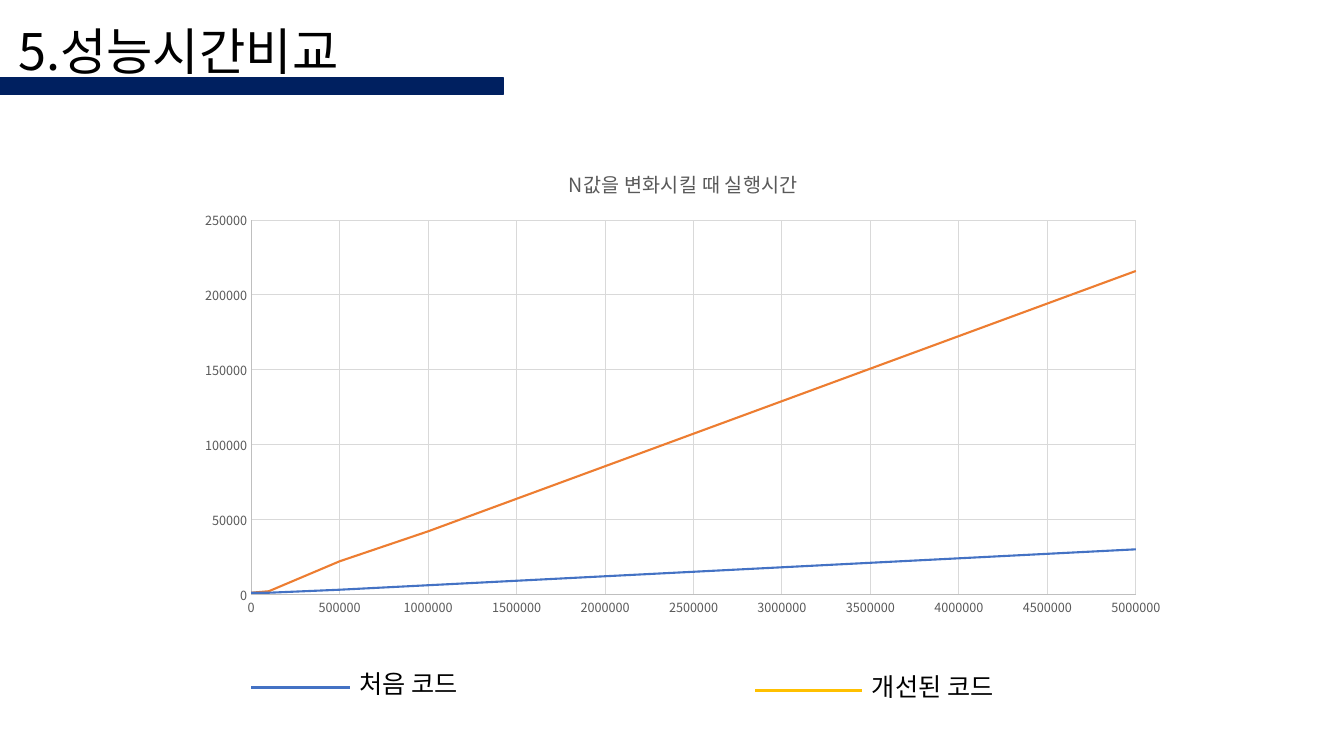
from dataclasses import dataclass

from lxml import etree
from pptx import Presentation
from pptx.chart.data import XyChartData
from pptx.dml.color import RGBColor
from pptx.enum.chart import XL_CHART_TYPE, XL_TICK_MARK
from pptx.enum.shapes import MSO_CONNECTOR, MSO_SHAPE
from pptx.enum.text import MSO_ANCHOR, MSO_AUTO_SIZE, PP_ALIGN
from pptx.oxml import parse_xml
from pptx.oxml.ns import nsdecls, qn
from pptx.util import Inches, Pt

SCATTER = XL_CHART_TYPE.XY_SCATTER_LINES_NO_MARKERS
NO_TICK = XL_TICK_MARK.NONE
STRAIGHT = MSO_CONNECTOR.STRAIGHT
RECTANGLE = MSO_SHAPE.RECTANGLE
TOP = MSO_ANCHOR.TOP
LEFT = PP_ALIGN.LEFT
GROW = MSO_AUTO_SIZE.SHAPE_TO_FIT_TEXT

FONT = "Noto Sans CJK KR"
NAVY, BLUE, ORANGE, YELLOW = "002060", "4472C4", "ED7D31", "FFC000"
BLACK, GRAY, AXIS_GRAY, GRID_GRAY = "000000", "595959", "BFBFBF", "D9D9D9"

N_VALUES = [0] * 6 + [100000, 500000, 1000000, 5000000]


@dataclass
class Series:
    name: str
    color: str
    times: list[int]


@dataclass
class LegendKey:
    text: str
    color: str
    left: float
    right: float
    y: float


SERIES = [
    Series("Series 1", BLUE, [1000] * 7 + [3000, 6000, 30000]),
    Series("Series 2", ORANGE, [1000] * 6 + [2000, 22000, 42000, 216000]),
]
LEGEND = [
    LegendKey("처음 코드", BLUE, 2.49, 3.47, 6.82),
    LegendKey("개선된 코드", YELLOW, 7.49, 8.55, 6.85),
]


def rgb(color: str) -> RGBColor:
    return RGBColor.from_string(color)


def set_font(font, size: float, color: str) -> None:
    for name, value in {"name": FONT, "size": Pt(size), "bold": False}.items():
        setattr(font, name, value)
    font.color.rgb = rgb(color)


def set_line(line, color: str, width: float) -> None:
    line.color.rgb = rgb(color)
    line.width = Pt(width)


def set_text(sp, text: str, size: float, wrap: bool = True) -> None:
    tf = sp.text_frame
    layout = {"word_wrap": wrap, "auto_size": GROW, "vertical_anchor": TOP}
    for name, value in layout.items():
        setattr(tf, name, value)
    p = tf.paragraphs[0]
    p.alignment = LEFT
    r = p.add_run()
    r.text = text
    set_font(r.font, size, BLACK)


def use_font_for_korean(root) -> None:
    """Repeat each Latin typeface as the East Asian one."""
    for latin in list(root.iter(qn("a:latin"))):
        ea = etree.Element(qn("a:ea"), typeface=FONT)
        latin.addnext(ea)


def add_heading(slide) -> None:
    title = slide.shapes.title
    box = {"left": 0.08, "top": 0.15, "width": 4.5, "height": 0.71}
    for name, value in box.items():
        setattr(title, name, Inches(value))
    set_text(title, "5.성능시간비교", 36)

    bar = slide.shapes.add_shape(
        RECTANGLE, Inches(0), Inches(0.77), Inches(4.99), Inches(0.17))
    bar.shadow.inherit = False
    bar.fill.solid()
    bar.fill.fore_color.rgb = rgb(NAVY)
    set_line(bar.line, NAVY, 1)
    title._element.addprevious(bar._element)


def add_legend_key(slide, key: LegendKey) -> None:
    y = Inches(key.y)
    line = slide.shapes.add_connector(
        STRAIGHT, Inches(key.left), y, Inches(key.right), y)
    set_line(line.line, key.color, 2.25)
    etree.SubElement(line._element.spPr, qn("a:effectLst"))
    label = slide.shapes.add_textbox(
        Inches(key.right), Inches(key.y - 0.24), Inches(1.56), Inches(0.4))
    set_text(label, key.text, 18)


def format_axis(axis, maximum: int, step: int) -> None:
    scale = {
        "minimum_scale": 0, "maximum_scale": maximum, "major_unit": step,
        "major_tick_mark": NO_TICK, "minor_tick_mark": NO_TICK,
        "has_major_gridlines": True, "has_title": False,
    }
    for name, value in scale.items():
        setattr(axis, name, value)
    set_font(axis.tick_labels.font, 9, GRAY)
    axis.tick_labels.number_format = "General"
    axis.tick_labels.number_format_is_linked = False
    set_line(axis.format.line, AXIS_GRAY, 0.75)
    set_line(axis.major_gridlines.format.line, GRID_GRAY, 0.75)


def place_plot(chart, x: float, y: float, w: float, h: float) -> None:
    """Fix the inner plot area, in fractions of the chart."""
    plot_area = chart._chartSpace.chart.plotArea
    for old in plot_area.findall(qn("c:layout")):
        plot_area.remove(old)
    parts = {"x": x, "y": y, "w": w, "h": h}
    modes = "".join(f'<c:{n}Mode val="edge"/>' for n in "xy")
    values = "".join(f'<c:{n} val="{v}"/>' for n, v in parts.items())
    plot_area.insert(0, parse_xml(
        f'<c:layout {nsdecls("c")}><c:manualLayout>'
        f'<c:layoutTarget val="inner"/>{modes}{values}'
        '</c:manualLayout></c:layout>'))


def add_time_chart(slide) -> None:
    data = XyChartData()
    for series in SERIES:
        points = data.add_series(series.name)
        for n, time in zip(N_VALUES, series.times):
            points.add_data_point(n, time)
    chart = slide.shapes.add_chart(
        SCATTER, Inches(1.85), Inches(1.47), Inches(9.86), Inches(4.76),
        data).chart
    chart.has_legend = False
    set_font(chart.font, 10, BLACK)

    chart.has_title = True
    p = chart.chart_title.text_frame.paragraphs[0]
    r = p.add_run()
    r.text = "N값을 변화시킬 때 실행시간"
    set_font(r.font, 14, GRAY)
    chart.chart_title.include_in_layout = False

    format_axis(chart.category_axis, 5000000, 500000)
    format_axis(chart.value_axis, 250000, 50000)
    place_plot(chart, 0.065, 0.15, 0.89, 0.78)
    chart.plots[0].vary_by_categories = False
    for plotted, series in zip(chart.plots[0].series, SERIES):
        plotted.smooth = False
        set_line(plotted.format.line, series.color, 1.5)
    use_font_for_korean(chart._chartSpace)


def main() -> None:
    prs = Presentation()
    prs.slide_width, prs.slide_height = Inches(13.33), Inches(7.5)
    slide = prs.slides.add_slide(prs.slide_layouts[5])
    add_heading(slide)
    for key in LEGEND:
        add_legend_key(slide, key)
    add_time_chart(slide)
    use_font_for_korean(slide.shapes._spTree)
    prs.save("out.pptx")


if __name__ == "__main__":
    main()
